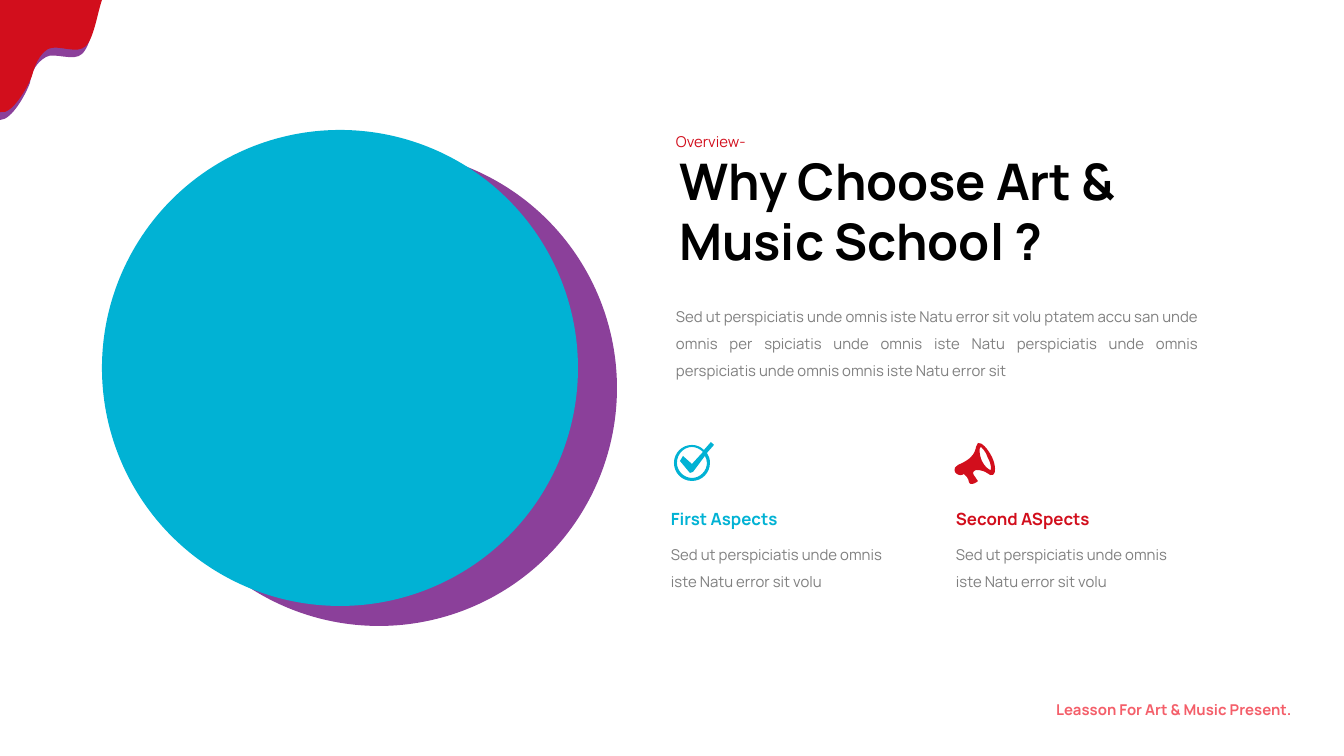
"""Build the overview slide of an art and music school deck."""
from lxml import etree
from pptx import Presentation
from pptx.dml.color import RGBColor
from pptx.enum.shapes import MSO_SHAPE
from pptx.enum.text import MSO_ANCHOR, MSO_AUTO_SIZE, PP_ALIGN
from pptx.oxml.ns import qn
from pptx.util import Pt

SCALE = 914400 / 134.4
FONT = "Manrope"
RED = RGBColor(0xD2, 0x0E, 0x1C)
CYAN = RGBColor(0x01, 0xB2, 0xD4)
PURPLE = RGBColor(0x8B, 0x40, 0x9A)
PINK = RGBColor(0xF4, 0x5E, 0x69)
GRAY = RGBColor(0x7F, 0x7F, 0x7F)
BLACK = RGBColor(0, 0, 0)
LEFT, RIGHT, JUSTIFY = PP_ALIGN.LEFT, PP_ALIGN.RIGHT, PP_ALIGN.JUSTIFY
TOP = MSO_ANCHOR.TOP
GROW = MSO_AUTO_SIZE.SHAPE_TO_FIT_TEXT
ELLIPSE = MSO_SHAPE.OVAL


def px(value):
    return round(value * SCALE)


def write(box, place, text, size, color, bold=False, align=LEFT, spacing=1.5, inset=(10, 5)):
    box.left, box.top, box.width, box.height = map(px, place)
    frame = box.text_frame
    across, down = map(px, inset)
    frame_format = {
        "word_wrap": True, "auto_size": GROW, "vertical_anchor": TOP,
        "margin_left": across, "margin_right": across,
        "margin_top": down, "margin_bottom": down,
    }
    for name, value in frame_format.items():
        setattr(frame, name, value)
    para = frame.paragraphs[0]
    para.alignment, para.line_spacing = align, spacing
    span = para.add_run()
    span.text = text
    for name, value in {"name": FONT, "size": Pt(size), "bold": bold}.items():
        setattr(span.font, name, value)
    span.font.color.rgb = color


deck = Presentation()
deck.slide_width, deck.slide_height = px(1344), px(756)
page = deck.slides.add_slide(deck.slide_layouts[5])
shapes = page.shapes

write(shapes.title, (666, 143, 468, 134), "Why Choose Art & Music School ?",
      27, BLACK, bold=True, spacing=1.0, inset=(13, 7))

for left, top, color in [(141, 150, PURPLE), (102, 130, CYAN)]:
    circle = shapes.add_shape(ELLIPSE, px(left), px(top), px(476), px(476))
    circle.shadow.inherit = False
    circle.fill.solid()
    circle.fill.fore_color.rgb = color
    circle.line.fill.background()

purple_drip = [[
    (0, 8), (98, 8), (95, 19, 91, 46, 82, 54), (74, 62, 54, 52, 46, 57),
    (36, 63, 32, 71, 30, 83), (26, 94, 12, 120, 0, 120),
]]
red_drip = [[
    (0, 112), (0, 0), (102, 0), (98, 11, 94, 38, 86, 46), (77, 55, 58, 44, 48, 49),
    (39, 55, 35, 65, 32, 76), (28, 87, 12, 115, 1, 112),
]]
check_icon = [
    [(714, 445), (711, 442), (704, 450), (701, 447, 697, 445, 692, 445),
     (682, 445, 674, 453, 674, 463), (674, 473, 682, 481, 692, 481),
     (702, 481, 710, 473, 710, 463), (710, 459, 709, 456, 707, 453)],
    [(707, 463), (707, 471, 700, 478, 692, 478), (684, 478, 677, 471, 677, 463),
     (677, 454, 684, 447, 692, 447), (696, 447, 700, 449, 703, 452),
     (692, 464), (683, 456), (680, 461), (690, 473), (693, 472), (705, 456),
     (706, 458, 707, 460, 707, 463)],
]
megaphone_icon = [
    [(992, 457), (988, 449, 982, 442, 978, 443), (974, 446, 980, 456, 958, 465),
     (955, 466, 954, 469, 955, 472), (956, 474, 960, 476, 962, 475), (964, 474),
     (965, 477, 966, 474, 967, 477), (968, 478, 969, 481, 969, 482),
     (970, 483, 970, 485, 972, 484), (973, 484, 976, 483, 977, 482),
     (978, 482, 978, 481, 978, 481), (977, 480, 976, 478, 976, 478),
     (974, 477, 974, 474, 973, 473), (973, 473, 974, 470, 976, 470),
     (988, 470, 989, 477, 993, 475), (996, 474, 996, 465, 992, 457)],
    [(991, 470), (989, 470, 985, 467, 982, 461), (979, 454, 979, 447, 981, 447),
     (981, 447, 986, 451, 988, 458), (992, 465, 991, 470, 991, 470)],
]

for contours, color in [(purple_drip, PURPLE), (red_drip, RED),
                        (check_icon, CYAN), (megaphone_icon, RED)]:
    start_x, start_y = contours[0][0]
    builder = shapes.build_freeform(px(start_x), px(start_y))
    segments = []
    for index, (start, *pieces) in enumerate(contours):
        if index:
            builder.move_to(px(start[0]), px(start[1]))
        builder.add_line_segments([(px(piece[-2]), px(piece[-1])) for piece in pieces])
        segments += pieces
    outline = builder.convert_to_shape()
    lines = list(outline.element.iter(qn("a:lnTo")))
    for line, segment in zip(lines, segments):
        if len(segment) == 6:
            line.clear()
            curve = etree.Element(qn("a:cubicBezTo"))
            for x, y in zip(segment[::2], segment[1::2]):
                etree.SubElement(curve, qn("a:pt"), x=str(px(x) - outline.left),
                                 y=str(px(y) - outline.top))
            line.getparent().replace(line, curve)
    outline.shadow.inherit = False
    outline.fill.solid()
    outline.fill.fore_color.rgb = color
    outline.line.fill.background()

overview = ("Sed ut perspiciatis unde omnis iste Natu error sit volu ptatem accu san unde "
            "omnis per spiciatis unde omnis iste Natu perspiciatis unde omnis "
            "perspiciatis unde omnis omnis iste Natu error sit")
aspect = "Sed ut perspiciatis unde omnis iste Natu error sit volu"
texts = [
    ((924, 687, 378, 36), "Leasson For Art & Music Present.", 8, PINK, True, RIGHT),
    ((666, 119, 169, 36), "Overview-", 8, RED, False, JUSTIFY),
    ((666, 294, 543, 90), overview, 8, GRAY, False, JUSTIFY),
]
for left, heading, color in [(661, "First Aspects", CYAN), (946, "Second ASpects", RED)]:
    texts.append(((left, 494, 187, 40), heading, 9, color, True))
    texts.append(((left, 532, 257, 63), aspect, 8, GRAY))
for place, *details in texts:
    write(shapes.add_textbox(0, 0, 0, 0), place, *details)

deck.save("out.pptx")
